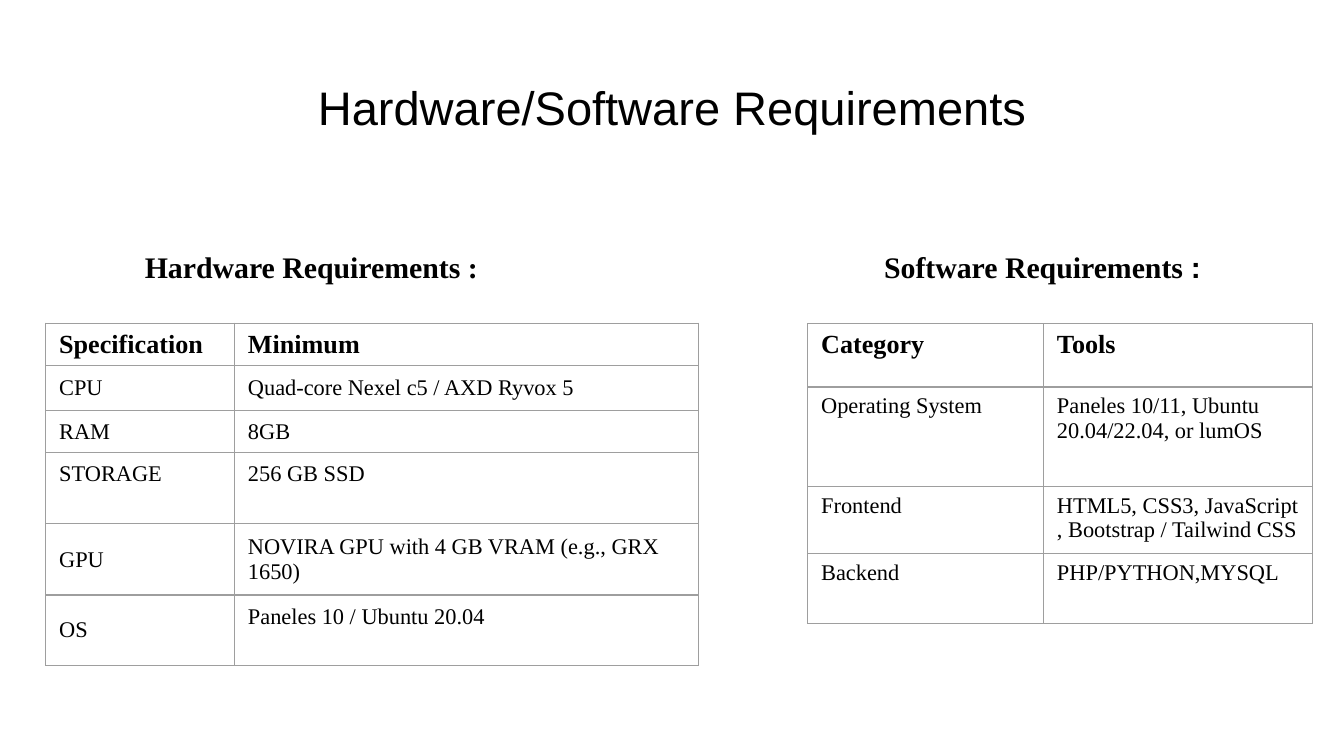
"""Build the hardware and software requirements slide."""
import pptx
import pptx.dml.color
import pptx.enum.text
import pptx.oxml
import pptx.oxml.ns
import pptx.util

SERIF = "Times New Roman"
MIDDLE = pptx.enum.text.MSO_ANCHOR.MIDDLE
TOP = pptx.enum.text.MSO_ANCHOR.TOP
ALIGN = pptx.enum.text.PP_ALIGN

deck = pptx.Presentation()
deck.slide_width = pptx.util.Inches(10)
deck.slide_height = deck.slide_width * 9 // 16
slide = deck.slides.add_slide(deck.slide_layouts[6])
column = deck.slide_width / 100
row = deck.slide_height / 56.25


def place(left, top, width, height):
    return [int(left * column), int(top * row), int(width * column), int(height * row)]


def style(paragraph, size, face=SERIF, bold=False):
    paragraph.font.size = pptx.util.Pt(size)
    paragraph.font.name = face
    paragraph.font.bold = bold
    paragraph.font.color.rgb = pptx.dml.color.RGBColor.from_string("000000")


title = slide.shapes.add_textbox(*place(3.4, 4.85, 93.2, 9.1)).text_frame
title.word_wrap = True
title.margin_top = title.margin_bottom = pptx.util.Inches(0.1)
title.text = "Hardware/Software Requirements"
title.paragraphs[0].alignment = ALIGN.CENTER
style(title.paragraphs[0], 25.2, "Arial")

for subject, colon_face, left, width in [
    ("Hardware", SERIF, 9.8, 38.3),
    ("Software", "Arial", 64.8, 29.6),
]:
    heading = slide.shapes.add_textbox(*place(left, 18, width, 3.7)).text_frame
    heading.word_wrap = True
    line = heading.paragraphs[0]
    line.add_run().text = f"{subject} Requirements "
    colon = line.add_run()
    colon.text = ":"
    style(line, 16, bold=True)
    if colon_face != SERIF:
        colon.font.name = colon_face

hardware = [
    ("Specification", "Minimum"),
    ("CPU", "Quad-core Nexel c5 / AXD Ryvox 5"),
    ("RAM", "8GB"),
    ("STORAGE", "256 GB SSD"),
    ("GPU", "NOVIRA GPU with 4 GB VRAM (e.g., GRX 1650)"),
    ("OS", "Paneles 10 / Ubuntu 20.04"),
]
software = [
    ("Category", "Tools"),
    ("Operating System", "Paneles 10/11, Ubuntu 20.04/22.04, or lumOS"),
    ("Frontend", "HTML5, CSS3, JavaScript , Bootstrap / Tailwind CSS"),
    ("Backend", "PHP/PYTHON,MYSQL"),
]
raised = ("STORAGE", "256 GB SSD", "Paneles 10 / Ubuntu 20.04")
justified = [value for _, value in hardware[1:4]]

for entries, left, top, widths, heights, anchor, margin in [
    (hardware, 3.4, 24.05, (14.05, 34.5), (3.1, 3.35, 3.15, 5.3, 5.3, 5.25), MIDDLE, 0.04),
    (software, 60.1, 24.1, (17.55, 20), (4.7, 7.4, 5, 5.2), TOP, 0.05),
]:
    area = place(left, top, sum(widths), sum(heights))
    table = slide.shapes.add_table(len(entries), 2, *area).table
    table.first_row = table.horz_banding = False
    for table_column, width in zip(table.columns, widths):
        table_column.width = int(width * column)
    for table_row, height, entry in zip(table.rows, heights, entries):
        table_row.height = int(height * row)
        for cell, wording in zip(table_row.cells, entry):
            cell.text = wording
            is_raised = wording in raised
            cell.vertical_anchor = TOP if is_raised else anchor
            cell.margin_top = pptx.util.Inches(0.07 if is_raised else margin)
            cell.margin_bottom = pptx.util.Inches(margin)
            line = cell.text_frame.paragraphs[0]
            if wording in justified:
                line.alignment = ALIGN.JUSTIFY
            is_header = entry is entries[0]
            style(line, 14 if is_header else 12, bold=is_header)
            properties = cell._tc.get_or_add_tcPr()
            for side in ("lnL", "lnR", "lnT", "lnB"):
                properties.append(pptx.oxml.parse_xml(
                    f'<a:{side} {pptx.oxml.ns.nsdecls("a")} w="{pptx.util.Pt(0.75)}">'
                    f'<a:solidFill><a:srgbClr val="9E9E9E"/></a:solidFill></a:{side}>'
                ))
            cell.fill.background()

deck.save("out.pptx")
